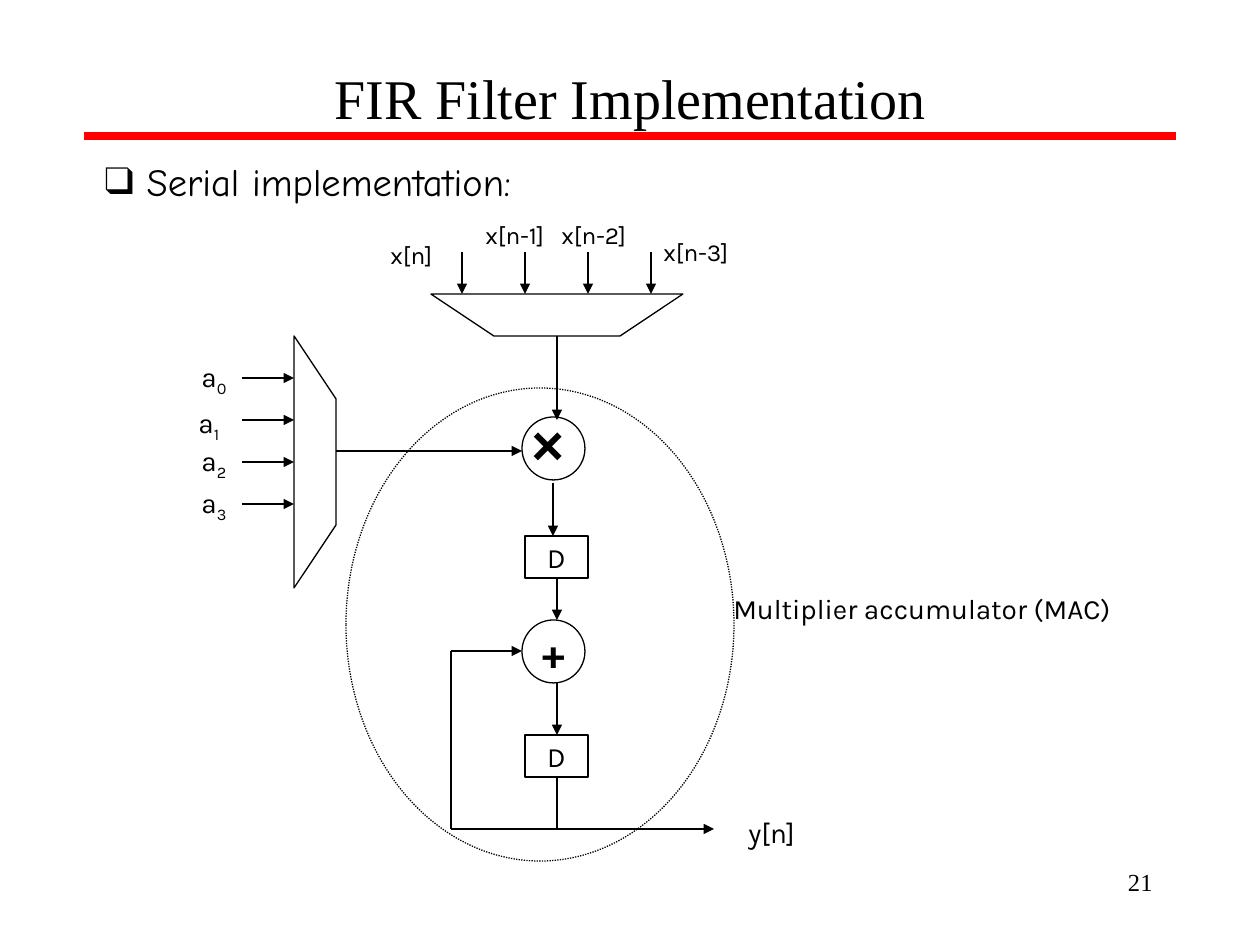
from lxml.etree import SubElement
from pptx import Presentation
from pptx.dml.color import RGBColor
from pptx.enum.dml import MSO_LINE
from pptx.enum.shapes import MSO_CONNECTOR, MSO_SHAPE
from pptx.enum.text import MSO_ANCHOR, MSO_AUTO_SIZE, PP_ALIGN
from pptx.oxml.ns import qn
from pptx.util import Emu, Pt

PX = 914400 / 126
COLORS = {name: RGBColor.from_string(value) for name, value in
          {"ink": "000000", "paper": "FFFFFF", "rule": "FF0000"}.items()}

presentation = Presentation()
presentation.slide_width = Emu(round(1260 * PX))
presentation.slide_height = Emu(round(945 * PX))
slide = presentation.slides.add_slide(presentation.slide_layouts[1])


def write_text(shape, box, text, size, font="Karla", bold=False, subscript="",
               align=PP_ALIGN.LEFT, wrap=False):
    """Place a text shape in a px box and format its single paragraph."""
    for name, value in zip(("left", "top", "width", "height"), box):
        setattr(shape, name, Emu(round(value * PX)))
    frame = shape.text_frame
    for name, value in {"word_wrap": wrap, "auto_size": MSO_AUTO_SIZE.NONE,
                        "vertical_anchor": MSO_ANCHOR.TOP}.items():
        setattr(frame, name, value)
    paragraph = frame.paragraphs[0]
    paragraph.alignment = align
    paragraph.space_before = Pt(0)
    for part in filter(None, (text, subscript)):
        run = paragraph.add_run()
        run.text = part
        for name, value in {"size": Pt(size), "name": font, "bold": bold}.items():
            setattr(run.font, name, value)
        run.font.color.rgb = COLORS["ink"]
    if subscript:
        run.font._element.set("baseline", "-25000")
    return paragraph


def add_line(x1, y1, x2, y2, arrow=True, color="ink", width=0.75):
    """Draw a straight line between px points, with an optional arrowhead."""
    line = slide.shapes.add_connector(
        MSO_CONNECTOR.STRAIGHT, *(Emu(round(v * PX)) for v in (x1, y1, x2, y2)))
    line.line.color.rgb = COLORS[color]
    line.line.width = Pt(width)
    if arrow:
        SubElement(line.line._get_or_add_ln(), qn("a:tailEnd"), type="triangle")
    SubElement(line._element.spPr, qn("a:effectLst"))


# Title, rule and bullet
add_line(84, 136, 1176, 136, arrow=False, color="rule", width=4.5)
write_text(slide.shapes.title, (53, 57, 1155, 81), "FIR Filter Implementation",
           32, "Times New Roman", align=PP_ALIGN.CENTER, wrap=True)
bullet = write_text(slide.placeholders[1], (92, 129, 435, 82),
                    "Serial implementation:", 22, "Comic Neue", wrap=True)
bullet.line_spacing = 1.5
properties = bullet._p.get_or_add_pPr()
hanging = round(42 * PX)
properties.set("marL", str(hanging))
properties.set("indent", str(-hanging))
SubElement(properties, qn("a:buFont"), typeface="Times New Roman")
SubElement(properties, qn("a:buChar"), char="❑")

# MAC outline, operator circles and delay boxes
blocks = []
for kind, left, top, width, height in [
    (MSO_SHAPE.OVAL, 346, 388, 388, 473),
    (MSO_SHAPE.OVAL, 522, 417, 63, 63),
    (MSO_SHAPE.OVAL, 522, 620, 63, 63),
    (MSO_SHAPE.RECTANGLE, 525, 536, 63, 42),
    (MSO_SHAPE.RECTANGLE, 525, 735, 63, 42),
]:
    blocks.append(slide.shapes.add_shape(
        kind, *(Emu(round(v * PX)) for v in (left, top, width, height))))
blocks[0].line.dash_style = MSO_LINE.ROUND_DOT

# Multiplexers for samples and coefficients
for start, *corners in [
    [(431, 294), (683, 294), (620, 336), (494, 336)],
    [(294, 588), (294, 336), (336, 399), (336, 525)],
]:
    outline = slide.shapes.build_freeform(*start, scale=PX)
    outline.add_line_segments(corners, close=True)
    blocks.append(outline.convert_to_shape())

for shape in blocks:
    shape.shadow.inherit = False
    shape.fill.solid()
    shape.fill.fore_color.rgb = COLORS["paper"]
    shape.line.color.rgb = COLORS["ink"]
    shape.line.width = Pt(0.75)

# Delay labels
for shape in blocks[3:5]:
    frame = shape.text_frame
    frame.word_wrap = False
    paragraph = frame.paragraphs[0]
    paragraph.text = "D"
    paragraph.alignment = PP_ALIGN.CENTER
    for name, value in {"size": Pt(16), "name": "Karla"}.items():
        setattr(paragraph.font, name, value)
    paragraph.font.color.rgb = COLORS["ink"]

# Multiplexer input arrows
for index in range(4):
    add_line(462 + 63 * index, 252, 462 + 63 * index, 294)
    add_line(242, 378 + 42 * index, 294, 378 + 42 * index)

# Signal path arrows
for points in [(557, 336, 557, 420), (336, 451, 522, 451), (553, 483, 553, 536),
               (557, 578, 557, 620), (557, 683, 557, 735), (557, 829, 714, 829),
               (451, 651, 522, 651)]:
    add_line(*points)

# Feedback wires
for points in [(557, 777, 557, 829), (557, 829, 451, 829), (451, 829, 451, 651)]:
    add_line(*points, arrow=False)

# Coefficient labels
for index, (left, top) in enumerate([(189, 353), (186, 399), (189, 437), (189, 479)]):
    write_text(slide.shapes.add_textbox(0, 0, 0, 0), (left, top, 54, 52),
               "a", 16, subscript=str(index), wrap=True)

# Signal labels
for text, size, box in [
    ("x[n]", 14, (378, 234, 69, 43)),
    ("x[n-1]", 14, (473, 214, 91, 43)),
    ("x[n-2]", 14, (549, 214, 91, 43)),
    ("x[n-3]", 14, (651, 231, 91, 43)),
    ("y[n]", 16, (736, 809, 74, 47)),
    ("Multiplier accumulator (MAC)", 16, (721, 585, 407, 47)),
]:
    write_text(slide.shapes.add_textbox(0, 0, 0, 0), box, text, size)

# Operator signs
for text, size, font, box in [("×", 32, "Arial", (519, 403, 69, 81)),
                              ("+", 24, "Karla", (530, 620, 49, 63))]:
    write_text(slide.shapes.add_textbox(0, 0, 0, 0), box, text, size, font, bold=True)

# Slide number
write_text(slide.shapes.add_textbox(0, 0, 0, 0), (903, 861, 262, 63), "21", 14,
           "Times New Roman", align=PP_ALIGN.RIGHT, wrap=True)

presentation.save("out.pptx")
